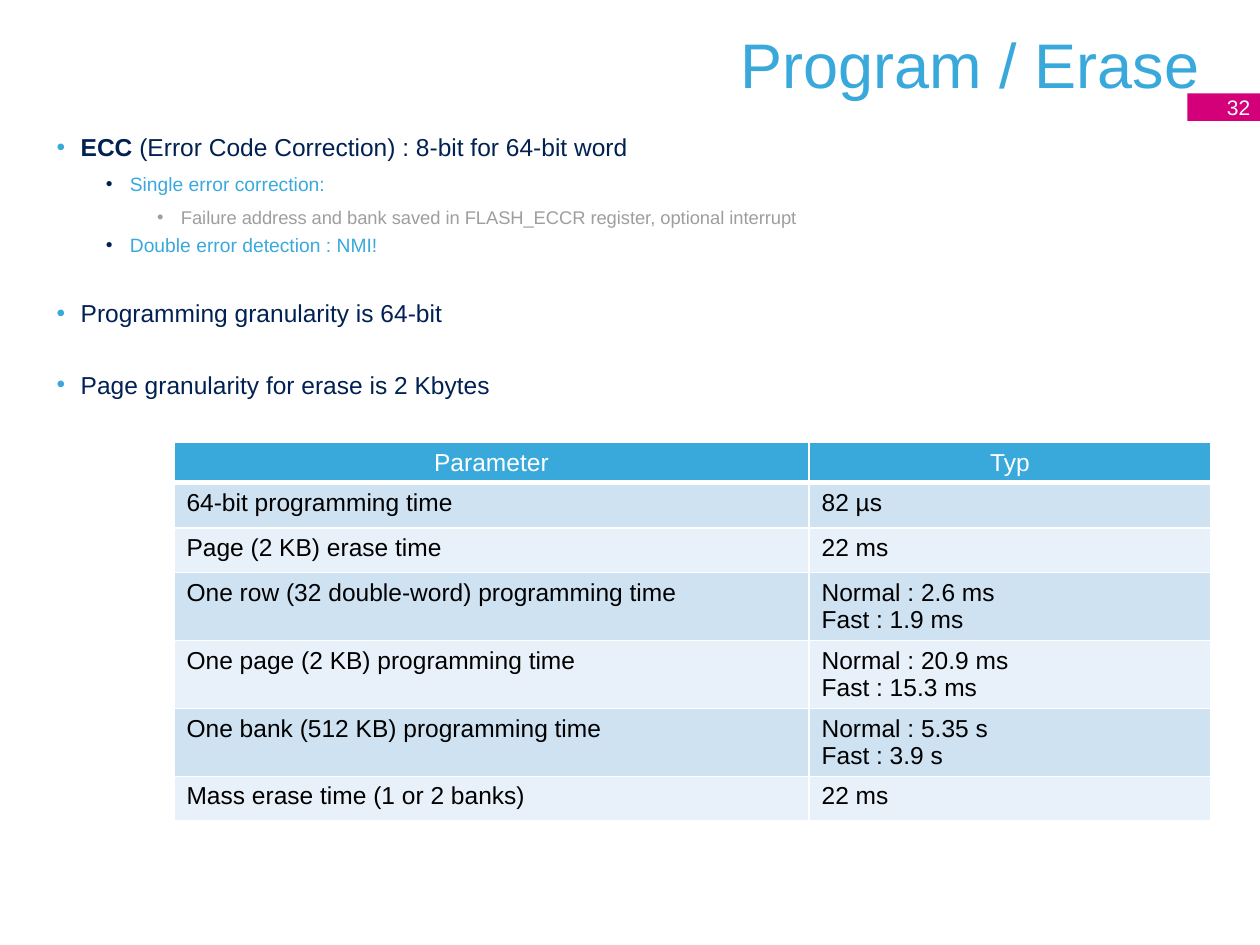
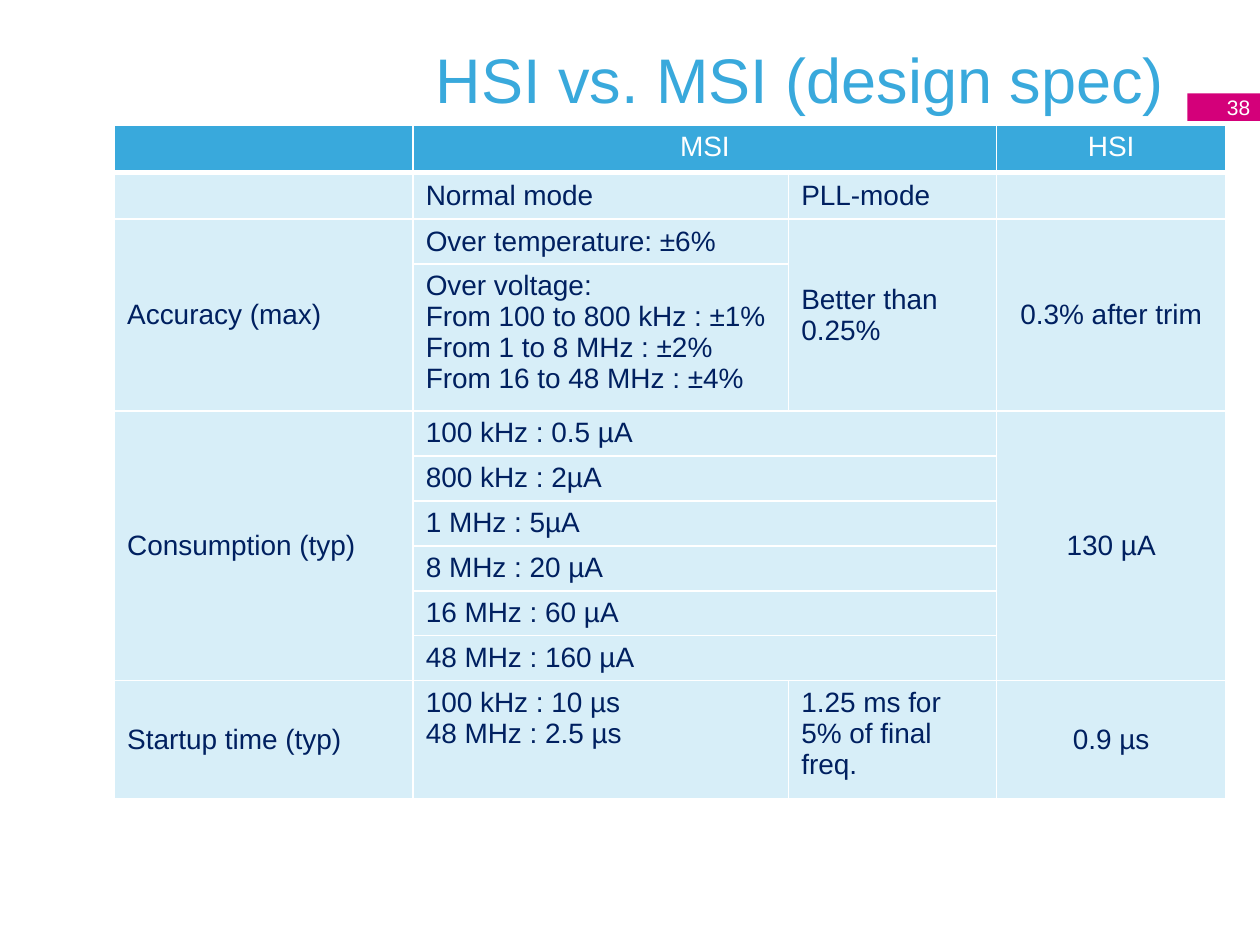
from lxml import etree
from pptx import Presentation, util as u
from pptx.dml.color import RGBColor
from pptx.enum import shapes, text
from pptx.oxml.ns import qn

BLUE = RGBColor(0x39, 0xA9, 0xDC)
NAVY = RGBColor(0x00, 0x21, 0x52)
CELL_NAVY = RGBColor(0x00, 0x20, 0x60)
GREY = RGBColor(0x9C, 0x9E, 0x9F)
MAGENTA = RGBColor(0xD4, 0x00, 0x7A)
MID_BLUE = RGBColor(0xCE, 0xE2, 0xF2)
PALE_BLUE = RGBColor(0xE8, 0xF1, 0xF9)
ICE_BLUE = RGBColor(0xD7, 0xEE, 0xF8)
WHITE = RGBColor(0xFF, 0xFF, 0xFF)
BLACK = RGBColor(0x00, 0x00, 0x00)

MIDDLE = text.MSO_ANCHOR.MIDDLE
CENTER = text.PP_ALIGN.CENTER
RIGHT = text.PP_ALIGN.RIGHT


def write(para, words, size, color, **formats):
    span = para.add_run()
    span.text = words
    span.font.color.rgb = color
    values = {"name": "Arial", "size": u.Pt(size), "bold": False, **formats}
    for name, value in values.items():
        setattr(span.font, name, value)


def add_grid(page, left, top, widths, heights, rows, size, color, fills):
    """Add a table with a blue heading row; the fills alternate below it."""
    table = page.shapes.add_table(len(rows), len(widths), u.Pt(left), u.Pt(top),
                                  u.Pt(sum(widths)), u.Pt(sum(heights))).table
    table.horz_banding = False
    for column, width in zip(table.columns, widths):
        column.width = u.Pt(width)
    for index, (row, height, entries) in enumerate(zip(table.rows, heights, rows)):
        row.height = u.Pt(height)
        for cell, entry in zip(row.cells, entries):
            properties = cell._tc.get_or_add_tcPr()
            for side in "LRTB":
                width = 3 if index == 0 and side == "B" else 1
                line = etree.SubElement(properties, qn(f"a:ln{side}"), w=str(u.Pt(width)))
                fill = etree.SubElement(line, qn("a:solidFill"))
                etree.SubElement(fill, qn("a:srgbClr"), val=str(WHITE))
            cell.fill.solid()
            cell.fill.fore_color.rgb = fills[(index - 1) % len(fills)] if index else BLUE
            for number, words in enumerate(entry.split("\n")):
                frame = cell.text_frame
                para = frame.add_paragraph() if number else frame.paragraphs[0]
                if index == 0:
                    para.alignment = CENTER
                if words:
                    write(para, words, size, color if index else WHITE)
                else:
                    etree.SubElement(para._p, qn("a:endParaRPr"), sz=str(size * 100))
    return table


deck = Presentation()
deck.slide_width, deck.slide_height = u.Pt(720), u.Pt(540)
TITLE_AND_BODY, TITLE_ONLY = deck.slide_layouts[1], deck.slide_layouts[5]

# Titles
pages = []
for layout, heading, place in [
    (TITLE_AND_BODY, "Program / Erase", (14.4, 9.36, 678.24, 54)),
    (TITLE_ONLY, "HSI vs. MSI (design spec)", (36.72, 0, 635.76, 90)),
]:
    page = deck.slides.add_slide(layout)
    title = page.shapes.title
    title.left, title.top, title.width, title.height = map(u.Pt, place)
    title.text_frame.auto_size = text.MSO_AUTO_SIZE.NONE
    title.text_frame.vertical_anchor = MIDDLE
    para = title.text_frame.paragraphs[0]
    para.alignment = RIGHT
    write(para, heading, 36, BLUE)
    pages.append(page)
erase_page, clock_page = pages

# Program / Erase: bullet list
body = erase_page.placeholders[1]
body.left, body.top, body.width, body.height = map(u.Pt, (25.2, 72, 648, 161))
body.text_frame.auto_size = text.MSO_AUTO_SIZE.NONE
# Per level: indent, space before, space after, size, text colour, bullet colour
levels = [
    (13.7, 18, 6, 14, NAVY, BLUE),
    (41.8, 0, 6, 11, BLUE, NAVY),
    (71, 0, 3, 10.5, GREY, GREY),
]
bullets = [
    (0, "ECC", " (Error Code Correction) : 8-bit for 64-bit word"),
    (1, "", "Single error correction:"),
    (2, "", "Failure address and bank saved in FLASH_ECCR register, optional interrupt"),
    (1, "", "Double error detection : NMI!"),
    (0, "", "Programming granularity is 64-bit"),
    (0, "", "Page granularity for erase is 2 Kbytes"),
]
for number, (level, strong, words) in enumerate(bullets):
    indent, before, after, size, color, bullet_color = levels[level]
    frame = body.text_frame
    para = frame.add_paragraph() if number else frame.paragraphs[0]
    para.level = level
    properties = para._p.get_or_add_pPr()
    properties.set("marL", str(u.Pt(indent)))
    properties.set("indent", str(-u.Pt(13.7)))
    tint = etree.SubElement(properties, qn("a:buClr"))
    etree.SubElement(tint, qn("a:srgbClr"), val=str(bullet_color))
    etree.SubElement(properties, qn("a:buFont"), typeface="Arial")
    etree.SubElement(properties, qn("a:buChar"), char="•")
    para.space_before = u.Pt(before if number else 0)
    para.space_after = u.Pt(after)
    if strong:
        write(para, strong, size, color, bold=True)
    write(para, words, size, color)

# Program / Erase: timing table
timings = [
    ("Parameter", "Typ"),
    ("64-bit programming time", "82 µs"),
    ("Page (2 KB) erase time", "22 ms"),
    ("One row (32 double-word) programming time", "Normal : 2.6 ms\nFast : 1.9 ms"),
    ("One page (2 KB) programming time", "Normal : 20.9 ms\nFast : 15.3 ms"),
    ("One bank (512 KB) programming time", "Normal : 5.35 s\nFast : 3.9 s"),
    ("Mass erase time (1 or 2 banks)", "22 ms"),
]
add_grid(erase_page, 99.4, 252.9, [362.9, 229.7], [23] + [25.7] * 2 + [38.8] * 3 + [25.7],
         timings, 14, BLACK, [MID_BLUE, PALE_BLUE])

# HSI vs. MSI: comparison table
comparison = [
    ("", "MSI", "", "HSI"),
    ("", "Normal mode", "PLL-mode", ""),
    ("Accuracy (max)", "Over temperature: ±6%", "Better than 0.25%", "0.3% after trim"),
    ("", "Over voltage:\nFrom 100 to 800 kHz : ±1%\nFrom 1 to 8 MHz : ±2%\n"
         "From 16 to 48 MHz : ±4%", "", ""),
    ("Consumption (typ)", "100 kHz : 0.5 µA", "", "130 µA"),
    ("", "800 kHz : 2µA", "", ""),
    ("", "1 MHz : 5µA", "", ""),
    ("", "8 MHz : 20 µA", "", ""),
    ("", "16 MHz : 60 µA", "", ""),
    ("", "48 MHz : 160 µA", "", ""),
    ("Startup time (typ)", "100 kHz : 10 µs\n48 MHz : 2.5 µs",
     "1.25 ms for 5% of final freq.", "0.9 µs"),
]
grid = add_grid(clock_page, 65.5, 71.6, [170.6, 214.6, 118.8, 131],
                [24.6] + [25.7] * 2 + [84] + [25.7] * 6 + [67.4],
                comparison, 16, CELL_NAVY, [ICE_BLUE])
for row in range(2, len(comparison)):
    for column in (0, 3):
        grid.cell(row, column).vertical_anchor = MIDDLE
    grid.cell(row, 3).text_frame.paragraphs[0].alignment = CENTER
for row in (1, 2):
    for column in (1, 2):
        cell = grid.cell(row, column)
        cell.vertical_anchor = MIDDLE
        cell.margin_top = cell.margin_right = cell.margin_bottom = 0
for row in (0, *range(4, 10)):
    grid.cell(row, 1).merge(grid.cell(row, 2))
for first, last, columns in [(2, 3, (0, 2, 3)), (4, 9, (0, 3))]:
    for column in columns:
        grid.cell(first, column).merge(grid.cell(last, column))

# Page numbers
for page, number in zip(pages, ("32", "38")):
    tab = page.shapes.add_shape(shapes.MSO_SHAPE.RECTANGLE, u.Pt(678.5), u.Pt(53.3),
                                u.Pt(43), u.Pt(15.8))
    tab.shadow.inherit = False
    tab.fill.solid()
    tab.fill.fore_color.rgb = MAGENTA
    tab.line.fill.background()
    for name, value in {"margin_top": 0, "margin_bottom": 0,
                        "vertical_anchor": MIDDLE, "word_wrap": True}.items():
        setattr(tab.text_frame, name, value)
    para = tab.text_frame.paragraphs[0]
    para.alignment = RIGHT
    write(para, number, 12, WHITE)

deck.save("out.pptx")
